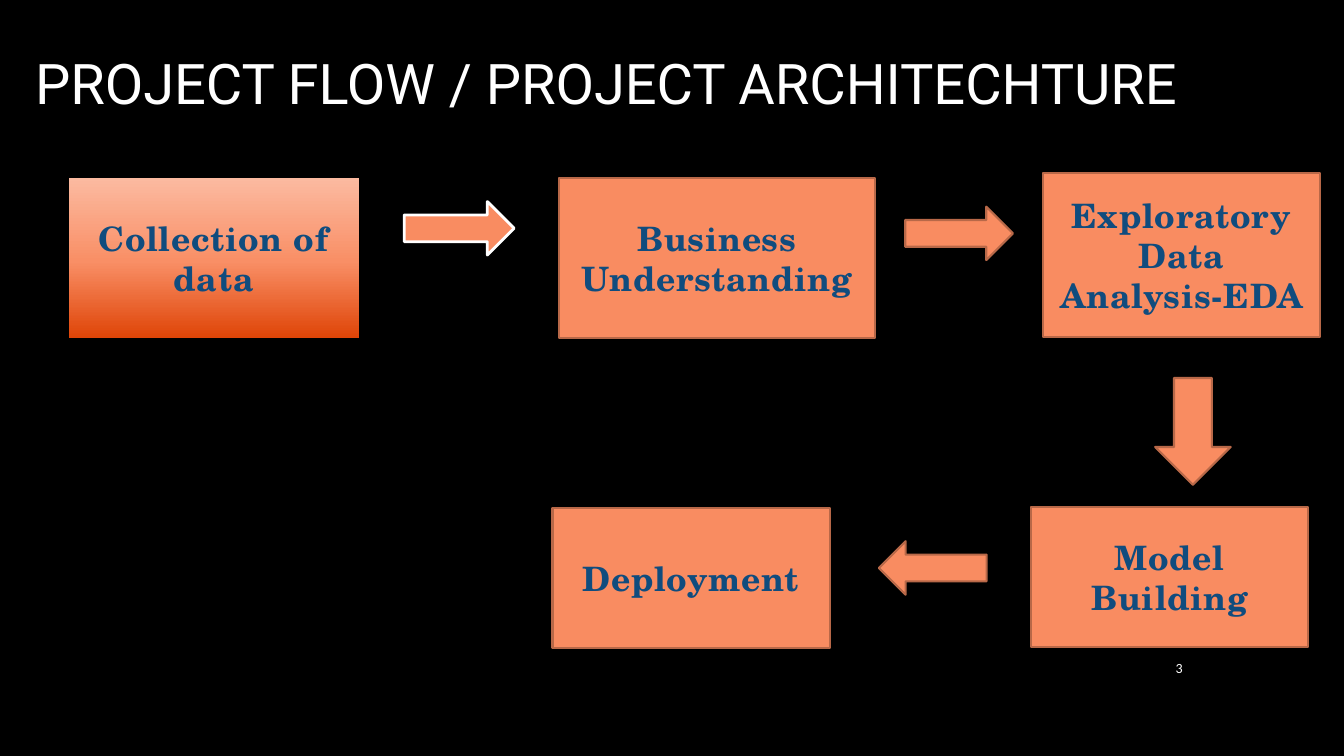
"""Build the project flow slide: five stages joined by arrows."""
from copy import deepcopy

from pptx import Presentation
from pptx.dml.color import RGBColor
from pptx.enum.shapes import MSO_SHAPE as Preset
from pptx.enum.text import MSO_ANCHOR as Anchor, PP_ALIGN as Align
from pptx.util import Pt

BLACK = RGBColor(0x00, 0x00, 0x00)
WHITE = RGBColor(0xFF, 0xFF, 0xFF)
NAVY = RGBColor(0x10, 0x4C, 0x7E)
ORANGE = RGBColor(0xF9, 0x8C, 0x61)
BROWN = RGBColor(0xB8, 0x68, 0x48)
DEEP_ORANGE = RGBColor(0xDF, 0x45, 0x08)
MID_ORANGE = RGBColor(0xF9, 0x8F, 0x66)
PALE_ORANGE = RGBColor(0xFB, 0xBA, 0xA0)

TITLE = "PROJECT FLOW / PROJECT ARCHITECHTURE"
PAGE_NUMBER = "3"
GLOW = [(0, DEEP_ORANGE), (0.48, MID_ORANGE), (1, PALE_ORANGE)]
STAGES = [
    ("Collection of data", (49, 127.4, 207.4, 113.8), GLOW),
    ("Business Understanding", (399.6, 127.4, 225.4, 113.8), None),
    ("Exploratory Data Analysis-EDA", (745.2, 123.8, 198, 117), None),
    ("Model Building", (736.6, 362.2, 198, 100), None),
    ("Deployment", (394.6, 362.9, 198, 100), None),
]
ARROWS = [
    (Preset.RIGHT_ARROW, (288.7, 144, 78.5, 38.2), WHITE, 2),
    (Preset.RIGHT_ARROW, (646.6, 147.6, 77, 38.2), BROWN, 1.5),
    (Preset.DOWN_ARROW, (825.1, 270, 54, 76.3), BROWN, 1.5),
    (Preset.LEFT_ARROW, (627.8, 386.6, 77, 38.2), BROWN, 1.5),
]


def write(shape, text, font, size, color, align, anchor):
    frame = shape.text_frame
    frame.word_wrap = True
    frame.vertical_anchor = anchor
    paragraph = frame.paragraphs[0]
    paragraph.alignment = align
    run = paragraph.add_run()
    run.text = text
    run.font.name = font
    run.font.size = Pt(size)
    run.font.color.rgb = color
    return run


def add_label(slide, place, *style):
    write(slide.shapes.add_textbox(*map(Pt, place)), *style)


def add_block(slide, preset, place, line_color=BROWN, line_width=1.5):
    block = slide.shapes.add_shape(preset, *map(Pt, place))
    block.shadow.inherit = False
    block.fill.solid()
    block.fill.fore_color.rgb = ORANGE
    block.line.color.rgb = line_color
    block.line.width = Pt(line_width)
    return block


def apply_gradient(block, colors):
    block.line.fill.background()
    block.fill.gradient()
    block.fill.gradient_angle = 90
    stop_list = block.fill._fill._gradFill.gsLst
    stop_list.append(deepcopy(stop_list[-1]))
    for stop, (position, color) in zip(block.fill.gradient_stops, colors):
        stop.position = position
        stop.color.rgb = color


def add_stage(slide, name, place, gradient):
    stage = add_block(slide, Preset.RECTANGLE, place)
    if gradient:
        apply_gradient(stage, gradient)
    run = write(stage, name, "TeX Gyre Schola", 24, NAVY, Align.CENTER, Anchor.MIDDLE)
    run.font.bold = True
    run.font._element.set("spc", "50")


def main():
    deck = Presentation()
    deck.slide_width, deck.slide_height = Pt(960), Pt(540)
    slide = deck.slides.add_slide(deck.slide_layouts[6])
    slide.background.fill.solid()
    slide.background.fill.fore_color.rgb = BLACK
    add_label(slide, (18, 9.4, 919.4, 77), TITLE, "Roboto", 40, WHITE, Align.LEFT, Anchor.BOTTOM)
    add_label(slide, (808.6, 462.2, 43.2, 29.5), PAGE_NUMBER, "Calibri", 10, WHITE,
              Align.RIGHT, Anchor.MIDDLE)
    for stage in STAGES:
        add_stage(slide, *stage)
    for arrow in ARROWS:
        add_block(slide, *arrow)
    deck.save("out.pptx")


if __name__ == "__main__":
    main()
